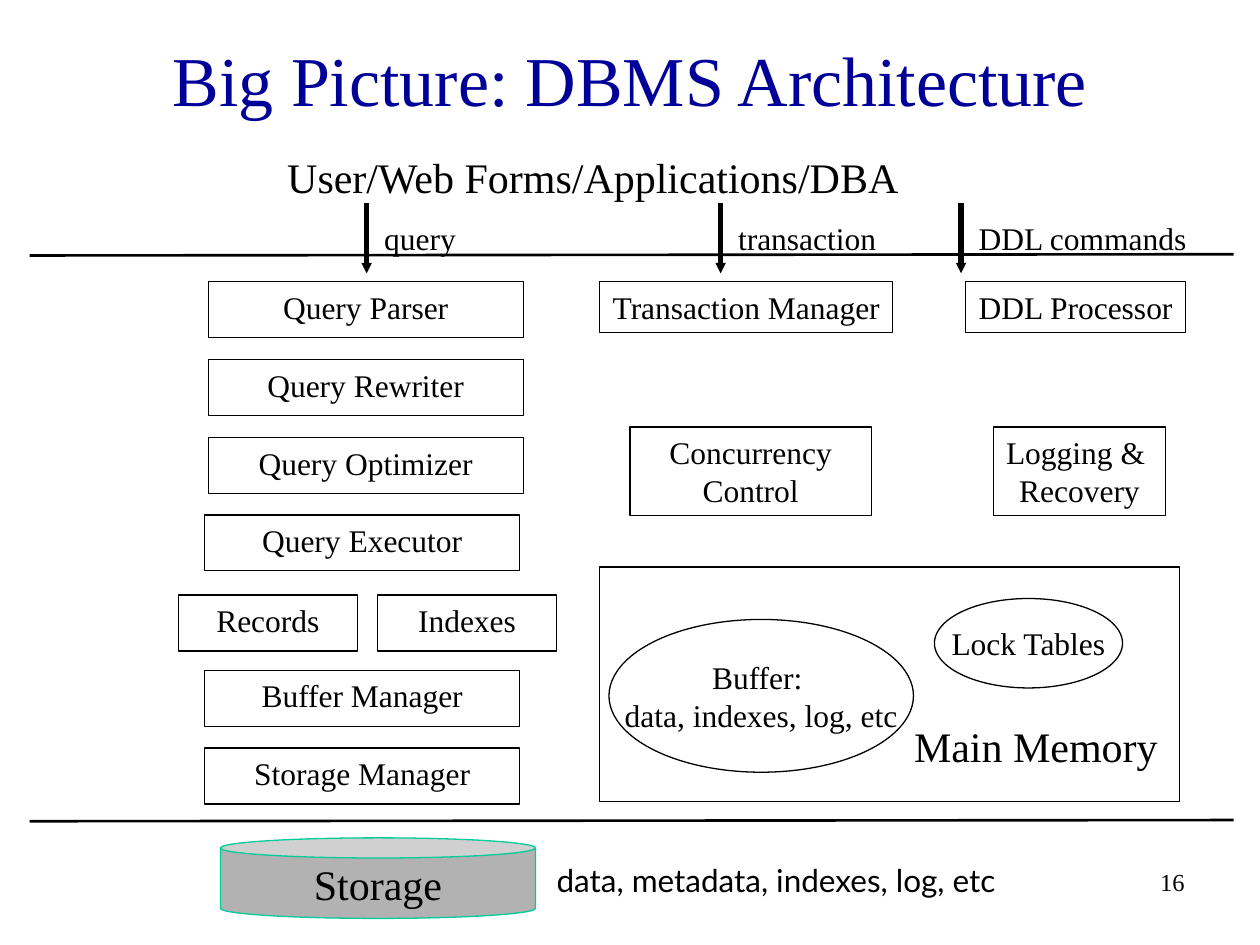
from lxml import etree
from pptx import Presentation
from pptx.dml.color import RGBColor
from pptx.enum.shapes import MSO_CONNECTOR, MSO_SHAPE
from pptx.enum.text import MSO_ANCHOR, PP_ALIGN
from pptx.oxml.ns import qn
from pptx.util import Pt

RECT, OVAL, CAN = MSO_SHAPE.RECTANGLE, MSO_SHAPE.OVAL, MSO_SHAPE.CAN
LEFT, MID, RIGHT = PP_ALIGN.LEFT, PP_ALIGN.CENTER, PP_ALIGN.RIGHT
TOP, CENTER = MSO_ANCHOR.TOP, MSO_ANCHOR.MIDDLE
STRAIGHT = MSO_CONNECTOR.STRAIGHT
SERIF, SANS = "Times New Roman", "Lato"
BLACK, NAVY, GRAY, GREEN = "000000", "000099", "B2B2B2", "00CC99"

# Query path: left edge, top and labels of each run of equal steps
STEP, WIDE, HIGH = 44.5, 180, 32
STACKS = [
    (119, 161, ["Query Parser", "Query Rewriter", "Query Optimizer"]),
    (117, 294.2, ["Query Executor"]),
    (117, 383, ["Buffer Manager", "Storage Manager"]),
]
ACCESS = ["Records", "Indexes"]

# Other modules: text, left, top, width, height, wrap
MODULES = [
    ("Transaction Manager", 342.7, 161, 167.5, 29, False),
    ("DDL Processor", 551.8, 161, 125.8, 29, False),
    ("Concurrency Control", 360, 244, 138, 50.6, True),
    ("Logging & \nRecovery", 567.8, 244, 98.2, 50.6, False),
]
# Contents of main memory: text, left, top, width, height
MEMORY = [
    ("Buffer: \ndata, indexes, log, etc", 348, 354, 174, 87.3),
    ("Lock Tables", 534, 342, 107.5, 51.1),
]
# Requests: text, arrow position, label width
INPUTS = [
    ("query", 209.5, 60),
    ("transaction", 411.8, 100),
    ("DDL commands", 549.2, 140),
]
RULES = [146, 469.3]

deck = Presentation()
deck.slide_width, deck.slide_height = Pt(720), Pt(540)
slide = deck.slides.add_slide(deck.slide_layouts[6])
shapes = slide.shapes


def rgb(code):
    return RGBColor.from_string(code)


def write(shape, text, size=18, font=SERIF, color=BLACK, align=MID,
          anchor=TOP, wrap=False):
    frame = shape.text_frame
    frame.word_wrap = wrap
    frame.vertical_anchor = anchor
    frame.text = text
    for para in frame.paragraphs:
        para.alignment = align
        para.font.size = Pt(size)
        para.font.name = font
        para.font.color.rgb = rgb(color)


def label(text, x, y, w, h, **look):
    write(shapes.add_textbox(Pt(x), Pt(y), Pt(w), Pt(h)), text, **look)


def box(text, x, y, w, h, kind=RECT, fill=None, line=BLACK, **look):
    shape = shapes.add_shape(kind, Pt(x), Pt(y), Pt(w), Pt(h))
    shape.shadow.inherit = False
    if fill:
        shape.fill.solid()
        shape.fill.fore_color.rgb = rgb(fill)
    else:
        shape.fill.background()
    shape.line.color.rgb = rgb(line)
    shape.line.width = Pt(0.75)
    if text:
        write(shape, text, **look)
    return shape


def rule(x1, y1, x2, y2, width, arrow=False):
    line = shapes.add_connector(STRAIGHT, Pt(x1), Pt(y1), Pt(x2), Pt(y2))
    line.line.color.rgb = rgb(BLACK)
    line.line.width = Pt(width)
    if arrow:
        stroke = line.line._get_or_add_ln()
        etree.SubElement(stroke, qn("a:tailEnd"), type="triangle",
                         w="sm", len="sm")
    etree.SubElement(line._element.spPr, qn("a:effectLst"))


# Title, users and page number
label("Big Picture: DBMS Architecture", 54, 0, 612, 90, size=40,
      color=NAVY, anchor=CENTER, wrap=True)
label("User/Web Forms/Applications/DBA", 157, 82.8, 372, 36, size=24,
      align=LEFT)
label("16", 534, 491.8, 150, 36, size=14, align=RIGHT, wrap=True)

# Layer borders
for y in RULES:
    rule(17, y, 705, y - 0.7, 1.5)

# Requests coming in
for text, x, w in INPUTS:
    rule(x, 116, x, 156.2, 3, arrow=True)
    label(text, x + 2.9, 121.7, w, 29, align=LEFT)

# Query path
for x, top, names in STACKS:
    for i, name in enumerate(names):
        box(name, x, top + i * STEP, WIDE, HIGH)
for i, name in enumerate(ACCESS):
    box(name, 102 + i * 113.8, 340, 102.2, HIGH)

# Transaction and DDL modules
for text, x, y, w, h, wrap in MODULES:
    box(text, x, y, w, h, wrap=wrap)

# Main memory
box("", 342.7, 324, 331.2, 133.9)
for text, x, y, w, h in MEMORY:
    box(text, x, y, w, h, kind=OVAL, anchor=CENTER)
label("Main Memory", 512, 408.2, 160, 36, size=24)

# Storage
disk = box("Storage", 126, 478.8, 180, 46, kind=CAN, fill=GRAY, line=GREEN,
           size=24, anchor=CENTER)
disk.adjustments[0] = 0.25
label("data, metadata, indexes, log, etc", 311, 488.2, 294, 29,
      font=SANS, align=LEFT)

deck.save("out.pptx")
